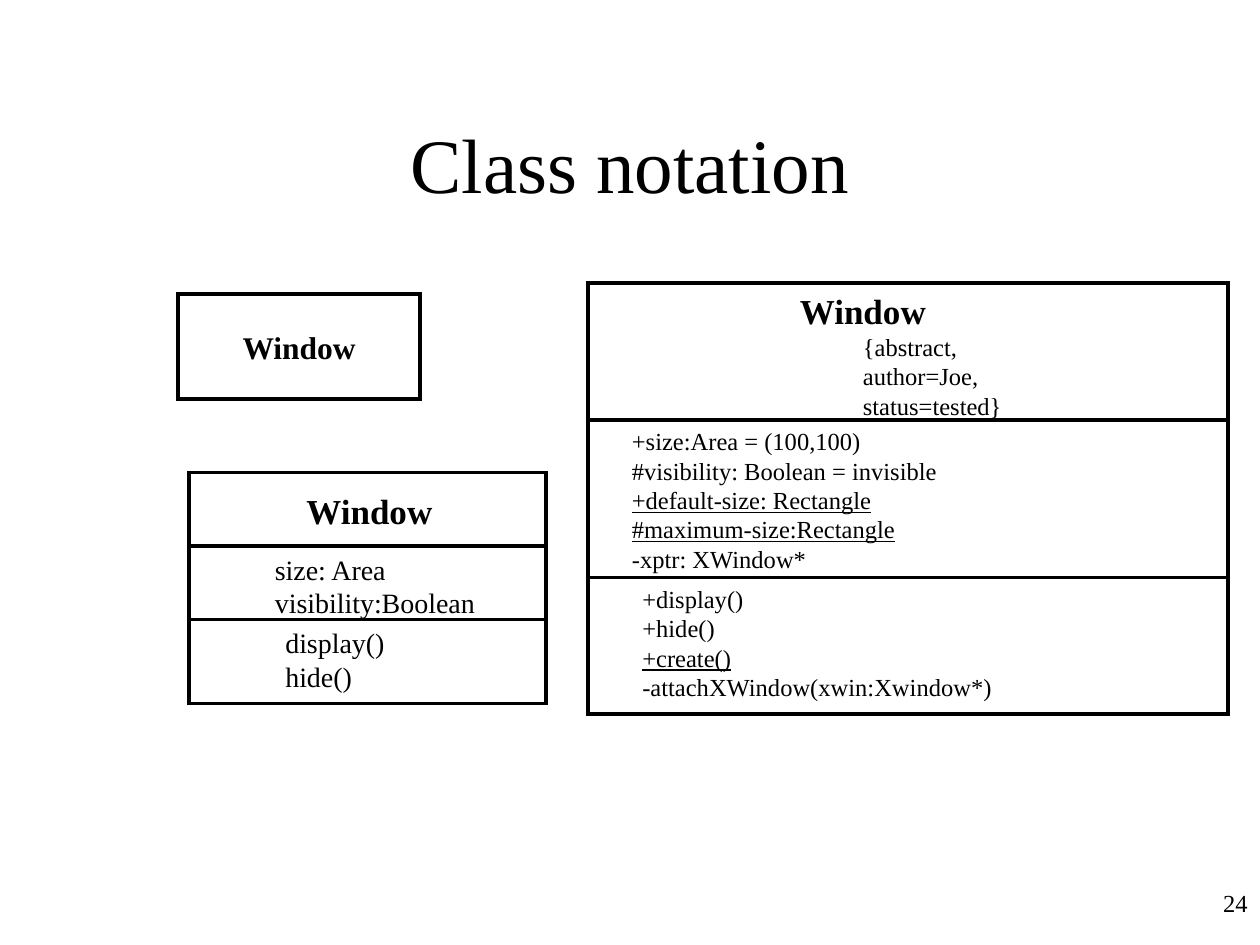
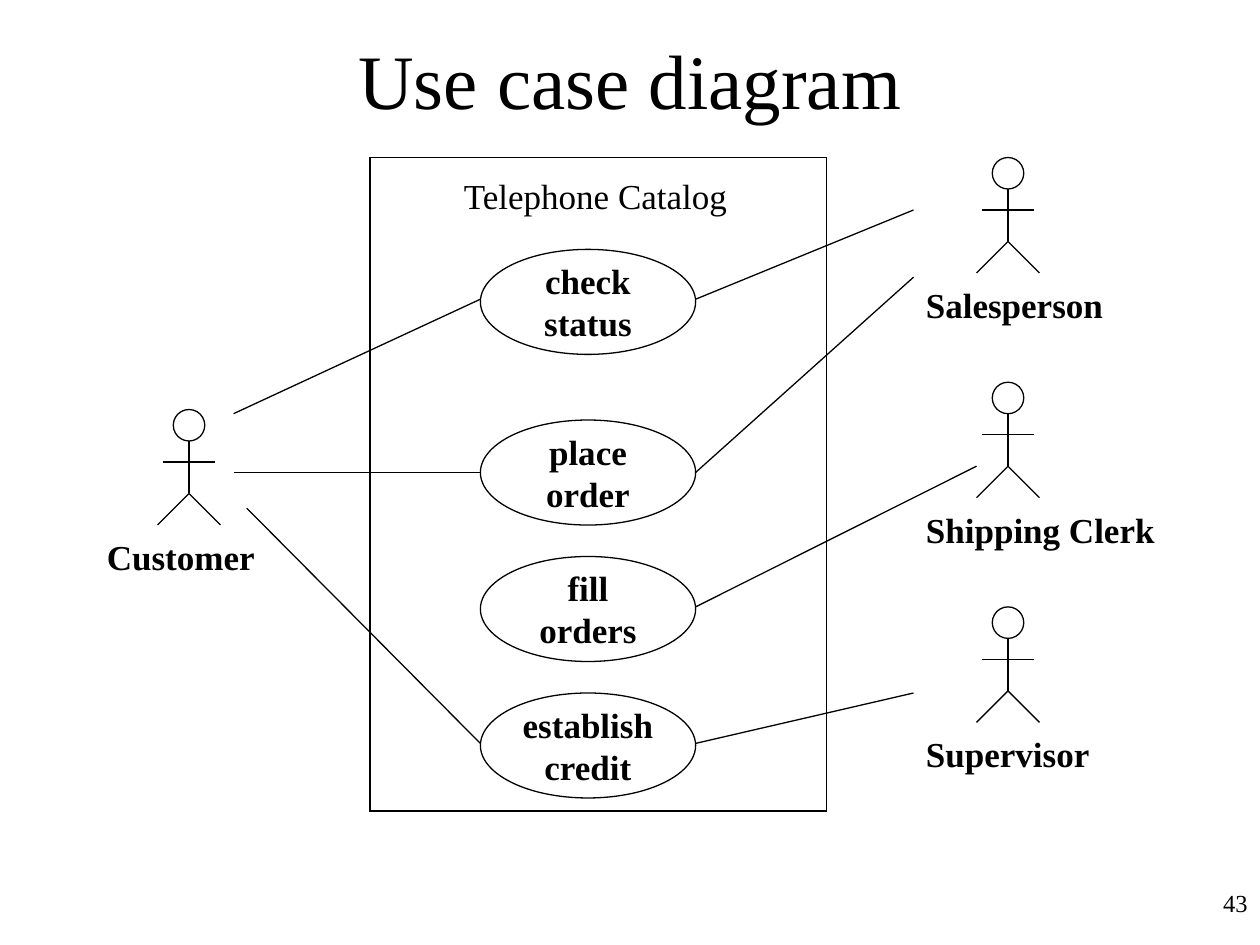
from lxml import etree
from pptx import Presentation
from pptx import util as u
from pptx.dml.color import RGBColor
from pptx.enum import shapes, text
from pptx.oxml.ns import qn

COLS, ROWS = 120, 90
WIDTH, HEIGHT = u.Inches(10), u.Inches(7.5)
INK, PAPER = "000000", "FFFFFF"
FONT = "Times New Roman"
THIN, THICK = 0.75, 2.25
TITLE_SIZE, NAME_SIZE, MEMBER_SIZE, DETAIL_SIZE = 44, 20, 16, 14


def x(col):
    return round(WIDTH * col / COLS)


def y(row):
    return round(HEIGHT * row / ROWS)


def paint(fmt, color):
    fmt.solid()
    fmt.fore_color.rgb = RGBColor.from_string(color)


def write(tf, words, size, bold=False, align=text.PP_ALIGN.LEFT, underlined=()):
    tf.text = words
    for p in tf.paragraphs:
        p.alignment = align
        for r in p.runs:
            r.font.name = FONT
            r.font.size = u.Pt(size)
            r.font.bold = bold
            r.font.underline = r.text in underlined
            paint(r.font.fill, INK)


def add_title(s, words, row):
    title = s.shapes.title
    title.left, title.top, title.width, title.height = x(9), y(row), x(102), y(15)
    title.text_frame.vertical_anchor = text.MSO_ANCHOR.MIDDLE
    write(title.text_frame, words, TITLE_SIZE, align=text.PP_ALIGN.CENTER)


def add_page_number(s, number):
    tf = s.shapes.add_textbox(x(95), y(84), x(25), y(6)).text_frame
    tf.word_wrap = True
    write(tf, number, DETAIL_SIZE, align=text.PP_ALIGN.RIGHT)


def new_slide(prs, title, title_row, number):
    s = prs.slides.add_slide(prs.slide_layouts[5])
    paint(s.background.fill, PAPER)
    add_page_number(s, number)
    add_title(s, title, title_row)
    return s


def add_box(parent, kind, col, row, cols, rows, weight, words="", size=NAME_SIZE):
    sp = parent.add_shape(kind, x(col), y(row), x(cols), y(rows))
    sp.shadow.inherit = False
    paint(sp.fill, PAPER)
    paint(sp.line.fill, INK)
    sp.line.width = u.Pt(weight)
    outline = sp._element.spPr.find(qn("a:ln"))
    etree.SubElement(outline, qn("a:miter"), lim="800000")
    if words:
        tf = sp.text_frame
        tf.word_wrap = False
        tf.vertical_anchor = text.MSO_ANCHOR.MIDDLE
        write(tf, words, size, True, text.PP_ALIGN.CENTER)


def add_line(parent, start, end, weight=THIN):
    ln = parent.add_connector(shapes.MSO_CONNECTOR.STRAIGHT,
                              x(start[0]), y(start[1]), x(end[0]), y(end[1]))
    paint(ln.line.fill, INK)
    ln.line.width = u.Pt(weight)
    etree.SubElement(ln._element.spPr, qn("a:effectLst"))


def add_label(parent, col, row, cols, words, size, bold=False, underlined=()):
    lines = words.count("\n") + 1
    rows = lines * size * 0.2 + 1.2
    tf = parent.add_textbox(x(col), y(row), x(cols), y(rows)).text_frame
    tf.word_wrap = False
    tf.auto_size = text.MSO_AUTO_SIZE.SHAPE_TO_FIT_TEXT
    write(tf, words, size, bold, underlined=underlined)


def add_class_frame(parent, col, row, cols, rows, dividers):
    add_box(parent, shapes.MSO_SHAPE.RECTANGLE, col, row, cols, rows, THICK)
    for divider in dividers:
        add_line(parent, (col, divider), (col + cols, divider), THICK)


def add_actor(s, name, center, top, name_cols):
    figure = s.shapes.add_group_shape().shapes
    hip = (center, top + 8)
    add_box(figure, shapes.MSO_SHAPE.OVAL, center - 1.5, top, 3, 3, THIN)
    add_line(figure, (center, top + 3), hip)
    add_line(figure, (center - 2.5, top + 5), (center + 2.5, top + 5))
    for side in (-3, 3):
        add_line(figure, hip, (center + side, top + 11))
    add_label(figure, center - 9, top + 11.4, name_cols, name, NAME_SIZE, True)


def class_notation(prs):
    s = new_slide(prs, "Class notation", 8, "24")
    parent = s.shapes
    add_class_frame(parent.add_group_shape().shapes, 56, 27, 61, 41, (40, 55))
    add_box(parent, shapes.MSO_SHAPE.RECTANGLE, 17, 28, 23, 10, THICK, "Window", 18)
    add_class_frame(parent, 18, 45, 34, 22, (52, 59))

    for col, row in ((28, 46), (75, 27)):
        add_label(parent, col, row, 14.7, "Window", NAME_SIZE, True)
    add_label(parent, 25, 52, 21.9, "size: Area\nvisibility:Boolean", MEMBER_SIZE)
    add_label(parent, 26, 59, 12.3, "display()\nhide()", MEMBER_SIZE)

    add_label(parent, 81, 31, 16, "{abstract,\nauthor=Joe,\nstatus=tested}", DETAIL_SIZE)
    add_label(parent, 59, 40, 32,
              "+size:Area = (100,100)\n#visibility: Boolean = invisible\n"
              "+default-size: Rectangle\n#maximum-size:Rectangle\n-xptr: XWindow*",
              DETAIL_SIZE,
              underlined=("+default-size: Rectangle", "#maximum-size:Rectangle"))
    add_label(parent, 60, 55, 36.2,
              "+display()\n+hide()\n+create()\n-attachXWindow(xwin:Xwindow*)",
              DETAIL_SIZE, underlined=("+create()",))


def use_case_diagram(prs):
    s = new_slide(prs, "Use case diagram", 0, "43")
    parent = s.shapes
    case_left, case_cols = 45.75, 20.5
    case_right = case_left + case_cols

    add_box(parent, shapes.MSO_SHAPE.RECTANGLE, 35.25, 15, 43.5, 62.25, THIN)
    add_label(parent, 43, 16, 28.1, "Telephone Catalog", NAME_SIZE)

    cases = (("check\nstatus", 23.75), ("place\norder", 40),
             ("fill\norders", 53), ("establish\ncredit", 66))
    for words, row in cases:
        add_box(parent, shapes.MSO_SHAPE.OVAL, case_left, row, case_cols, 10, THIN, words)

    actors = (("Customer", 18, 39, 17), ("Salesperson", 96, 15, 19.7),
              ("Shipping Clerk", 96, 36.4, 24.6), ("Supervisor", 96, 57.8, 18.4))
    for actor in actors:
        add_actor(s, *actor)

    customer_links = ((28.5, (22.25, 39.4)), (45, (22.25, 45)), (70.8, (23.5, 48.4)))
    staff_links = ((28.5, (87, 20)), (45, (87, 26.4)),
                   (57.8, (93, 44.4)), (70.8, (87, 66)))
    for side, links in ((case_left, customer_links), (case_right, staff_links)):
        for row, end in links:
            add_line(parent, (side, row), end)


def main():
    prs = Presentation()
    prs.slide_width, prs.slide_height = WIDTH, HEIGHT
    class_notation(prs)
    use_case_diagram(prs)
    prs.save("out.pptx")


if __name__ == "__main__":
    main()
